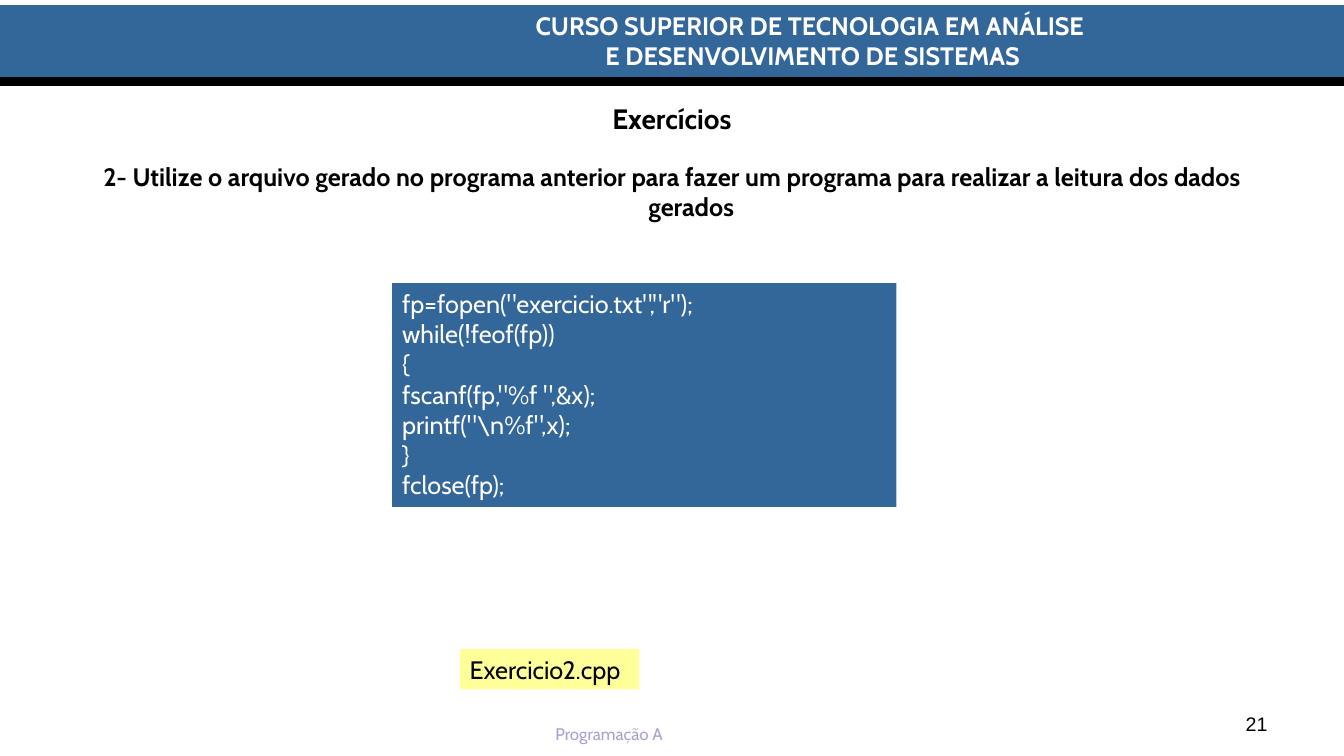
from pptx import Presentation
from pptx.dml.color import RGBColor
from pptx.enum.shapes import MSO_CONNECTOR, MSO_SHAPE
from pptx.enum.text import MSO_ANCHOR, PP_ALIGN
from pptx.oxml.ns import qn
from pptx.util import Inches, Pt
from lxml import etree

LEFT, CENTER, RIGHT = PP_ALIGN.LEFT, PP_ALIGN.CENTER, PP_ALIGN.RIGHT
TOP, MIDDLE, BOTTOM = MSO_ANCHOR.TOP, MSO_ANCHOR.MIDDLE, MSO_ANCHOR.BOTTOM

# Content
COURSE = ["CURSO SUPERIOR DE TECNOLOGIA EM ANÁLISE ",
          "E DESENVOLVIMENTO DE SISTEMAS"]
TITLE = ["Exercícios"]
TASK = ["2- Utilize o arquivo gerado no programa anterior para fazer um "
        "programa para realizar a leitura dos dados gerados"]
CODE = ['fp=fopen("exercicio.txt","r");',
        "while(!feof(fp))",
        "{",
        'fscanf(fp,"%f ",&x);',
        r'printf("\n%f",x);',
        "}",
        "fclose(fp);"]
FILE_NAME = ["Exercicio2.cpp"]
SUBJECT = ["Programação A"]
PAGE = ["21"]

COLORS = {"blue": "336699", "yellow": "FFFF99", "lilac": "A4A4D0",
          "black": "000000", "white": "FFFFFF"}

# Layout in inches
W, H = 13.33, 7.5
MARGIN = W / 20
BODY_W = W - 2 * MARGIN
BAND_TOP, BAND_H = 0.05, 0.79
RULE_Y = 0.81
HANG = 0.38

prs = Presentation()
prs.slide_width, prs.slide_height = Inches(W), Inches(H)
s = prs.slides.add_slide(prs.slide_layouts[6])


def color(name):
    return RGBColor.from_string(COLORS[name])


def add_box(x, y, w, h, fill):
    sp = s.shapes.add_shape(MSO_SHAPE.RECTANGLE, *map(Inches, (x, y, w, h)))
    sp.shadow.inherit = False
    sp.fill.solid()
    sp.fill.fore_color.rgb = color(fill)
    sp.line.fill.background()
    return sp


def write(sp, lines, size=18, ink="black", bold=False, align=LEFT,
          anchor=TOP, wrap=True, font="Cabin"):
    tf = sp.text_frame
    tf.word_wrap = wrap
    tf.vertical_anchor = anchor
    tf.text = "\n".join(lines)
    for p in tf.paragraphs:
        p.alignment = align
        for r in p.runs:
            r.font.name, r.font.size, r.font.bold = font, Pt(size), bold
            r.font.color.rgb = color(ink)
    return tf


def add_text(x, y, w, h, lines, **style):
    sp = s.shapes.add_textbox(*map(Inches, (x, y, w, h)))
    return write(sp, lines, **style)


# Header band, course name and rule
add_box(0, BAND_TOP, W, BAND_H, "blue")
add_text(2.89, BAND_TOP, 10.34, 0.71, COURSE,
         ink="white", bold=True, align=CENTER)
rule = s.shapes.add_connector(MSO_CONNECTOR.STRAIGHT, 0, Inches(RULE_Y),
                              Inches(W), Inches(RULE_Y))
rule.line.color.rgb = color("black")
rule.line.width = Pt(6)
etree.SubElement(rule._element.spPr, qn("a:effectLst"))

# Title and task with a hanging indent
add_text(MARGIN, 0.42, BODY_W, 1.5, TITLE,
         size=20, bold=True, align=CENTER, anchor=MIDDLE)
task = add_text(MARGIN, 1.55, BODY_W, 5.04, TASK, bold=True, align=CENTER)
pPr = task.paragraphs[0]._p.get_or_add_pPr()
pPr.set("marL", str(Inches(HANG)))
pPr.set("indent", str(-Inches(HANG)))

# Code and file name
write(add_box(3.89, 2.81, 5, 2.22, "blue"), CODE, ink="white")
write(add_box(4.56, 6.44, 1.78, 0.4, "yellow"), FILE_NAME, wrap=False)

# Footer
add_text(5.41, 7.13, 1.33, 0.3, SUBJECT, size=12, ink="lilac", wrap=False)
add_text(9.56, 6.83, 3.11, 0.52, PAGE,
         size=14, align=RIGHT, anchor=BOTTOM, font="Arial")

prs.save("out.pptx")
